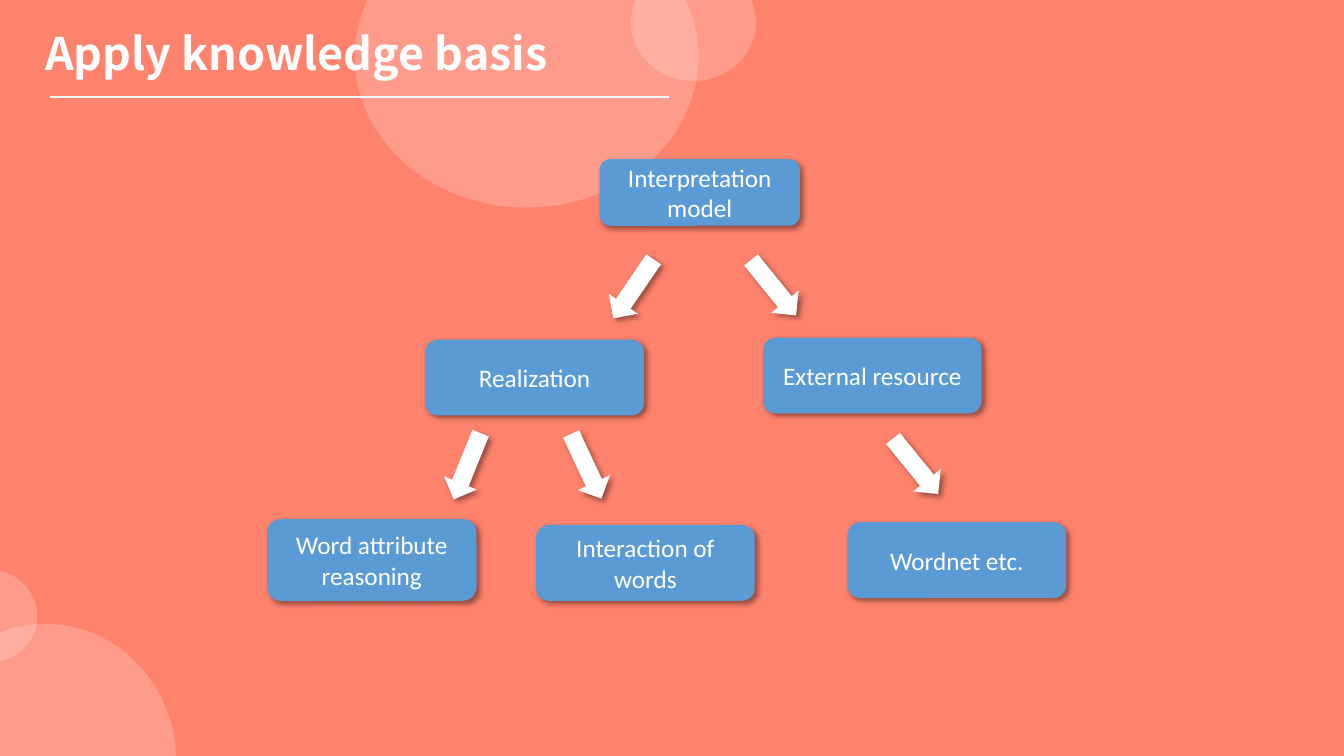
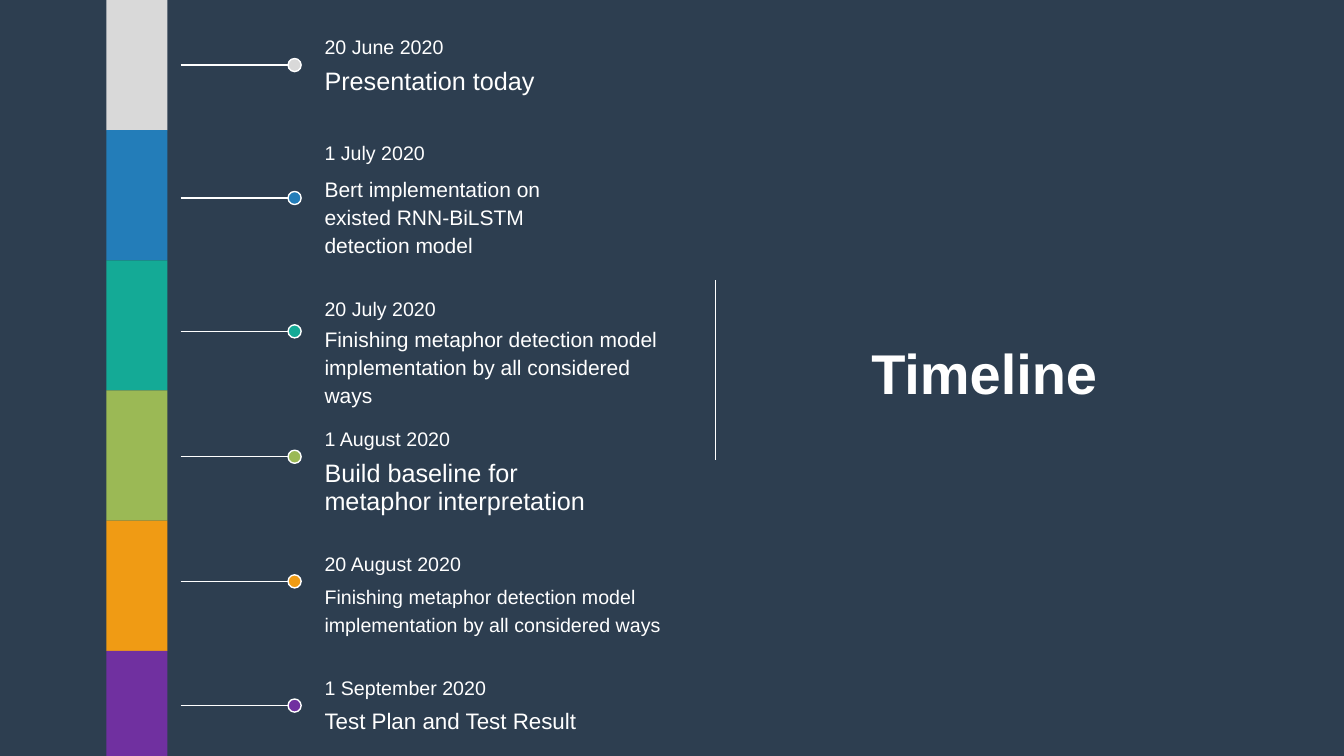
from lxml.etree import SubElement
from pptx import Presentation
from pptx.dml.color import RGBColor
from pptx.enum.shapes import MSO_CONNECTOR as Connector, MSO_SHAPE as Preset
from pptx.enum.text import MSO_ANCHOR as Anchor, MSO_AUTO_SIZE as AutoSize, PP_ALIGN as Align
from pptx.oxml.ns import qn
from pptx.util import Cm, Pt

COLOURS = {
    "white": "FFFFFF", "black": "000000", "coral": "FF826D", "navy": "2D3E50",
    "sky": "5B9BD5", "grey": "D9D9D9", "blue": "237DB9", "teal": "14AA96",
    "green": "9BB955", "orange": "F09B14", "purple": "7030A0",
}
NO_MARGINS = dict.fromkeys(("margin_left", "margin_top", "margin_right", "margin_bottom"), 0)
PLAIN_FRAME = {**NO_MARGINS, "word_wrap": True, "vertical_anchor": Anchor.TOP}
TITLE_FRAME = {**PLAIN_FRAME, "auto_size": AutoSize.NONE, "vertical_anchor": Anchor.MIDDLE}
GROWING_FRAME = {**PLAIN_FRAME, "auto_size": AutoSize.SHAPE_TO_FIT_TEXT}
NODE_FRAME = {"word_wrap": True, "vertical_anchor": Anchor.MIDDLE}
LINE_PITCH = Pt(20)
TASK_PARA = {"line_spacing": LINE_PITCH, "space_after": Pt(5.3)}
CENTRED = {"alignment": Align.CENTER}

CIRCLES = [
    (8.94, -2.36, 8.66, 7.59), (15.9, -0.91, 3.15, 2.95),
    (-1.65, 14.33, 2.59, 2.39), (-2.16, 15.72, 6.6, 6.93),
]
NODES = [
    ("Interpretation model", 15.11, 4.01, 5.05, 1.68),
    ("Realization", 10.72, 8.56, 5.51, 1.91),
    ("External resource", 19.23, 8.51, 5.51, 1.91),
    ("Word attribute reasoning", 6.73, 13.08, 5.28, 2.06),
    ("Interaction of words", 13.51, 13.23, 5.51, 1.91),
    ("Wordnet etc.", 21.36, 13.16, 5.51, 1.91),
]
ARROWS = [
    (15.52, 6.38, 34.4), (19.05, 6.35, 320.9), (11.33, 10.85, 22.1),
    (14.33, 10.85, 334.9), (22.63, 10.85, 320.9),
]
DETECTION = "Finishing metaphor detection model implementation by all considered ways"
MILESTONES = [
    ("grey", 1.64, "20 June 2020", 0.89, "Presentation today", 1.7, 6.76, 1, 18),
    ("blue", 4.99, "1 July 2020", 3.56,
     "Bert implementation on existed RNN-BiLSTM detection model", 4.37, 6.76, 3, 15),
    ("teal", 8.35, "20 July 2020", 7.47, DETECTION, 8.15, 8.51, 3, 15),
    ("green", 11.51, "1 August 2020", 10.77,
     "Build baseline for metaphor interpretation", 11.58, 6.76, 2, 18),
    ("orange", 14.65, "20 August 2020", 13.92, DETECTION, 14.63, 9.37, 2, 14),
    ("purple", 17.78, "1 September 2020", 17.04, "Test Plan and Test Result", 17.78, 7.42, 1, 16),
]
BAND_HEIGHT = 3.28
SLIDE_HEIGHT = 19.05
DOT_SIZE = 0.33


def rgb(name):
    """Return the named colour."""
    return RGBColor.from_string(COLOURS[name])


def assign(target, values):
    """Set each named attribute of the target."""
    for name, value in values.items():
        setattr(target, name, value)


def write(frame, text, frame_values, para_values, **font_values):
    """Put one formatted white paragraph in a text frame."""
    assign(frame, frame_values)
    para = frame.paragraphs[0]
    assign(para, para_values)
    span = para.add_run()
    span.text = text
    assign(span.font, font_values)
    span.font.color.rgb = rgb("white")


def add_page(deck, background):
    """Add a titled page with a plain background."""
    page = deck.slides.add_slide(deck.slide_layouts[5])
    page.background.fill.solid()
    page.background.fill.fore_color.rgb = rgb(background)
    return page


def set_title(page, text, place, align, name, size):
    """Place and format the page title."""
    title = page.shapes.title
    assign(title, dict(zip(("left", "top", "width", "height"), map(Cm, place))))
    write(title.text_frame, text, TITLE_FRAME, {"alignment": align},
          name=name, size=Pt(size), bold=True)


def add_box(page, preset, place, colour, outline=None):
    """Add a filled shape without a shadow."""
    box = page.shapes.add_shape(preset, *map(Cm, place))
    box.shadow.inherit = False
    box.fill.solid()
    box.fill.fore_color.rgb = rgb(colour)
    if outline:
        box.line.color.rgb = rgb(outline)
        box.line.width = Pt(1)
    else:
        box.line.fill.background()
    return box


def add_alpha(colour_element, percent):
    """Set the opacity of a colour element."""
    SubElement(colour_element, qn("a:alpha"), val=str(percent * 1000))


def add_shadow(box):
    """Give a shape a soft shadow to the lower right."""
    effects = box._element.spPr.find(qn("a:effectLst"))
    shadow = SubElement(effects, qn("a:outerShdw"), blurRad=str(Pt(4)), dist=str(Pt(3)),
                        dir="2700000", algn="tl", rotWithShape="0")
    add_alpha(SubElement(shadow, qn("a:srgbClr"), val=COLOURS["black"]), 40)


def add_line(page, *ends):
    """Add a thin white line between two points."""
    line = page.shapes.add_connector(Connector.STRAIGHT, *map(Cm, ends))
    line.line.color.rgb = rgb("white")
    line.line.width = Pt(1)
    SubElement(line._element.spPr, qn("a:effectLst"))


def add_circle(page, place):
    """Add a translucent white circle."""
    circle = add_box(page, Preset.OVAL, place, "white")
    add_alpha(circle._element.spPr.find(".//" + qn("a:srgbClr")), 20)


def add_node(page, text, *place):
    """Add a labelled box of the tree."""
    node = add_box(page, Preset.ROUNDED_RECTANGLE, place, "sky")
    add_shadow(node)
    write(node.text_frame, text, NODE_FRAME, CENTRED, name="Calibri", size=Pt(18))


def add_arrow(page, left, top, angle):
    """Add a turned block arrow."""
    arrow = add_box(page, Preset.DOWN_ARROW, (left, top, 0.89, 1.8), "white")
    arrow.rotation = angle
    add_shadow(arrow)


def add_label(page, text, top, width, height, size, frame_values, para_values):
    """Add a text in the timeline column."""
    label = page.shapes.add_textbox(Cm(8.18), Cm(top), Cm(width), height)
    write(label.text_frame, text, frame_values, para_values, name="Arial", size=Pt(size))


def add_milestone(page, index, milestone):
    """Add the band, marker and texts of one date."""
    colour, middle, date, date_top, task, task_top, width, lines, size = milestone
    band_top = index * BAND_HEIGHT
    height = min(BAND_HEIGHT, SLIDE_HEIGHT - band_top)
    add_box(page, Preset.RECTANGLE, (2.68, band_top, 1.54, height), colour)
    add_line(page, 4.55, middle, 7.26, middle)
    add_box(page, Preset.OVAL, (7.26, middle - DOT_SIZE / 2, DOT_SIZE, DOT_SIZE), colour, "white")
    add_label(page, date, date_top, 6.38, Cm(0.51), 14, PLAIN_FRAME, {})
    add_label(page, task, task_top, width, lines * LINE_PITCH, size, GROWING_FRAME, TASK_PARA)


def build_tree(deck):
    """Build the knowledge tree page."""
    page = add_page(deck, "coral")
    set_title(page, "Apply knowledge basis", (1.14, 0.25, 26.8, 2.16),
              Align.LEFT, "Noto Sans CJK SC", 32)
    add_line(page, 1.27, 2.44, 16.87, 2.44)
    for place in CIRCLES:
        add_circle(page, place)
    for node in NODES:
        add_node(page, *node)
    for arrow in ARROWS:
        add_arrow(page, *arrow)


def build_timeline(deck):
    """Build the timeline page."""
    page = add_page(deck, "navy")
    set_title(page, "Timeline", (18.44, 7.26, 12.73, 4.22), Align.CENTER, "Arial", 40)
    add_line(page, 18.03, 7.06, 18.03, 11.58)
    for index, milestone in enumerate(MILESTONES):
        add_milestone(page, index, milestone)


def main():
    """Build and save the deck."""
    deck = Presentation()
    assign(deck, {"slide_width": Cm(33.87), "slide_height": Cm(SLIDE_HEIGHT)})
    build_tree(deck)
    build_timeline(deck)
    deck.save("out.pptx")


if __name__ == "__main__":
    main()
